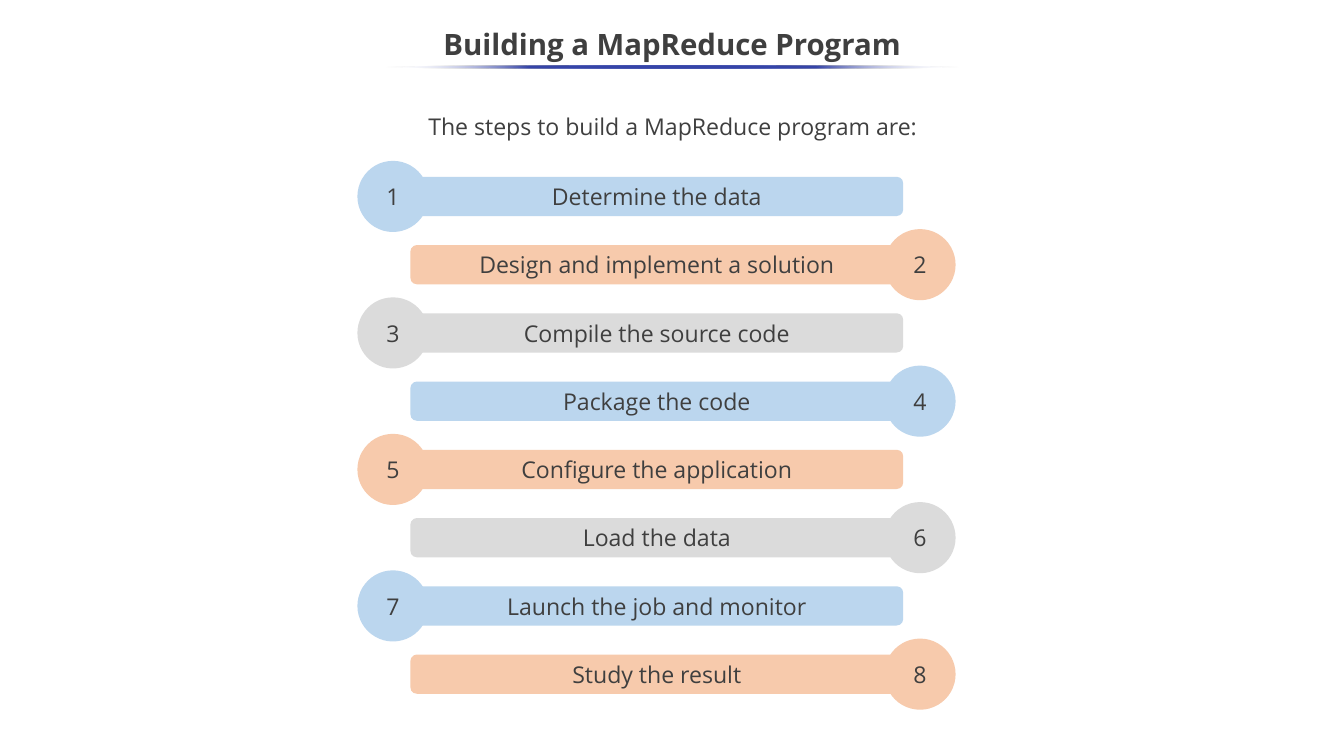
from dataclasses import dataclass

from lxml.etree import SubElement
from pptx import Presentation
from pptx.dml.color import RGBColor
from pptx.enum.shapes import MSO_SHAPE
from pptx.enum.text import MSO_ANCHOR, PP_ALIGN
from pptx.oxml.ns import qn
from pptx.shapes.autoshape import Shape
from pptx.slide import Slide
from pptx.util import Cm, Pt

COLORS = {
    "text": "3F3F3F",
    "blue": "BBD6EE",
    "orange": "F7CAAC",
    "gray": "DBDBDB",
    "rule": "3645A9",
    "white": "FFFFFF",
}
STEP_COLORS = ("blue", "orange", "gray")
FONT = "Open Sans"
FIRST_TOP, PITCH = 5.94, 2.293
BAR_LEFT, BAR_WIDTH, BAR_HEIGHT = 13.79, 16.56, 1.32
CIRCLE_SIZE = 2.39
CIRCLE_LEFTS = (12.01, 29.72)
NUMBER_WIDTH, NUMBER_HEIGHT = 0.94, 1.19


@dataclass
class Step:
    number: int
    label: str

    @property
    def color(self) -> str:
        return STEP_COLORS[(self.number - 1) % len(STEP_COLORS)]

    @property
    def top(self) -> float:
        return FIRST_TOP + (self.number - 1) * PITCH

    @property
    def circle_left(self) -> float:
        return CIRCLE_LEFTS[(self.number - 1) % 2]


STEPS = [
    Step(number, label)
    for number, label in enumerate(
        (
            "Determine the data",
            "Design and implement a solution",
            "Compile the source code",
            "Package the code",
            "Configure the application",
            "Load the data",
            "Launch the job and monitor",
            "Study the result",
        ),
        start=1,
    )
]


def write_text(shape: Shape, text: str, size: int = 22, bold: bool = False,
               wrap: bool = True, anchor: MSO_ANCHOR = MSO_ANCHOR.TOP) -> None:
    frame = shape.text_frame
    frame.word_wrap = wrap
    frame.vertical_anchor = anchor
    paragraph = frame.paragraphs[0]
    paragraph.alignment = PP_ALIGN.CENTER
    run = paragraph.add_run()
    run.text = text
    run.font.name = FONT
    run.font.size = Pt(size)
    run.font.bold = bold
    run.font.color.rgb = RGBColor.from_string(COLORS["text"])


def style_shape(shape: Shape, color: str) -> None:
    shape.shadow.inherit = False
    shape.fill.solid()
    shape.fill.fore_color.rgb = RGBColor.from_string(COLORS[color])
    shape.line.fill.background()


def draw_step(slide: Slide, step: Step) -> None:
    group = slide.shapes.add_group_shape()
    bar = group.shapes.add_shape(
        MSO_SHAPE.ROUNDED_RECTANGLE,
        Cm(BAR_LEFT), Cm(step.top), Cm(BAR_WIDTH), Cm(BAR_HEIGHT))
    style_shape(bar, step.color)
    write_text(bar, step.label, anchor=MSO_ANCHOR.MIDDLE)

    middle = step.top + BAR_HEIGHT / 2
    circle = group.shapes.add_shape(
        MSO_SHAPE.OVAL, Cm(step.circle_left), Cm(middle - CIRCLE_SIZE / 2),
        Cm(CIRCLE_SIZE), Cm(CIRCLE_SIZE))
    style_shape(circle, step.color)

    number = group.shapes.add_textbox(
        Cm(step.circle_left + (CIRCLE_SIZE - NUMBER_WIDTH) / 2),
        Cm(middle - NUMBER_HEIGHT / 2), Cm(NUMBER_WIDTH), Cm(NUMBER_HEIGHT))
    write_text(number, str(step.number), wrap=False, anchor=MSO_ANCHOR.MIDDLE)


def draw_title_rule(slide: Slide) -> None:
    rule = slide.shapes.add_shape(
        MSO_SHAPE.OVAL, Cm(12.95), Cm(2.21), Cm(19.28), Cm(0.1))
    style_shape(rule, "rule")
    rule.fill.gradient()
    rule.fill.gradient_angle = 0
    stops = rule.fill.gradient_stops
    stop_list = rule.element.spPr.find(qn("a:gradFill")).find(qn("a:gsLst"))
    for stop in list(stop_list):
        stop_list.remove(stop)
    for percent in (0, 25, 50, 75, 100):
        faded = percent in (0, 100)
        stop = SubElement(stop_list, qn("a:gs"), pos=str(percent * 1000))
        color = SubElement(stop, qn("a:srgbClr"),
                           val=COLORS["white" if faded else "rule"])
        if faded:
            SubElement(color, qn("a:alpha"), val="0")


def main() -> None:
    presentation = Presentation()
    presentation.slide_width = Cm(45.16)
    presentation.slide_height = Cm(25.4)
    slide = presentation.slides.add_slide(presentation.slide_layouts[6])

    intro = slide.shapes.add_textbox(Cm(3.58), Cm(3.84), Cm(38.05), Cm(1.68))
    write_text(intro, "The steps to build a MapReduce program are:")
    intro.text_frame.paragraphs[0].line_spacing = 0.8
    title = slide.shapes.add_textbox(Cm(13.08), Cm(0.76), Cm(19), Cm(1.45))
    write_text(title, "Building a MapReduce Program", size=28, bold=True)

    for step in STEPS:
        draw_step(slide, step)
    draw_title_rule(slide)
    presentation.save("out.pptx")


if __name__ == "__main__":
    main()
